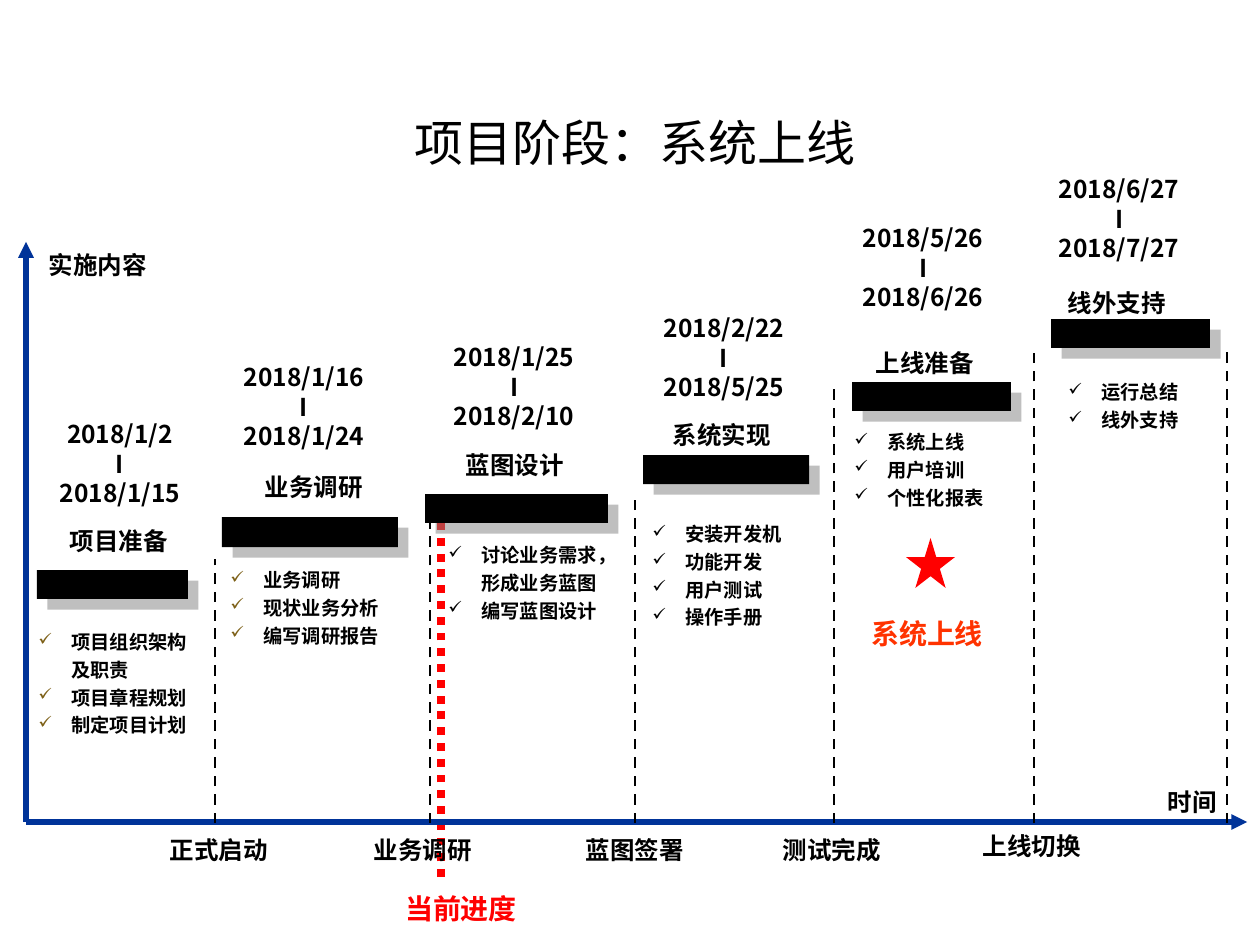
from lxml import etree
from pptx import Presentation
from pptx import util as u
from pptx.dml.color import RGBColor
from pptx.enum import dml, shapes, text
from pptx.oxml.ns import qn

PX = 7257.6  # EMU per pixel, 126 pixels to the inch
FONT = "Noto Sans CJK SC"
BLACK, RED, NAVY, GOLD = "000000", "FF0000", "003399", "7D6017"
AXIS_X, AXIS_Y = 26, 822
INDENT = 33

# name, name centre, dates, date centre, bar, bullets, bullet box (left, first line, width), bullet colour
STAGES = [
    ("项目准备", (119, 539), ("2018/1/2", "2018/1/15"), (120, 432), (37, 570, 151, 29),
     ["项目组织架构及职责", "项目章程规划", "制定项目计划"], (26, 641, 189), GOLD),
    ("业务调研", (314, 485), ("2018/1/16", "2018/1/24"), (304, 375), (222, 517, 176, 30),
     ["业务调研", "现状业务分析", "编写调研报告"], (218, 579, 181), GOLD),
    ("蓝图设计", (515, 463), ("2018/1/25", "2018/2/10"), (514, 355), (425, 494, 183, 29),
     ["讨论业务需求，形成业务蓝图", "编写蓝图设计"], (436, 554, 179), BLACK),
    ("系统实现", (722, 433), ("2018/2/22", "2018/5/25"), (724, 326), (643, 455, 166, 29),
     ["安装开发机", "功能开发", "用户测试", "操作手册"], (640, 533, 184), BLACK),
    ("上线准备", (925, 361), ("2018/5/26", "2018/6/26"), (923, 236), (852, 382, 159, 29),
     ["系统上线", "用户培训", "个性化报表"], (842, 441, 181), BLACK),
    ("线外支持", (1117, 301), ("2018/6/27", "2018/7/27"), (1119, 187), (1051, 319, 159, 29),
     ["运行总结", "线外支持"], (1056, 391, 181), BLACK),
]
DIVIDERS = [(215, 559), (430, 518), (635, 493), (834, 387), (1034, 353), (1227, 352)]
LABELS = [("正式启动", 219, 848), ("业务调研", 423, 848), ("蓝图签署", 635, 848),
          ("测试完成", 832, 848), ("上线切换", 1032, 844), ("时间", 1192, 800),
          ("实施内容", 98, 263)]


def px(value):
    return u.Emu(round(value * PX))


def color(value):
    return RGBColor.from_string(value)


def add_text(slide, lines, left, top, width, height, size=14, fill=BLACK, bold=True,
             font=FONT, align=text.PP_ALIGN.CENTER, anchor=text.MSO_ANCHOR.TOP,
             spacing=None, bullet=None):
    """Add a text box with one paragraph per line; bullet is the tick colour."""
    box = slide.shapes.add_textbox(px(left), px(top), px(width), px(height))
    frame = box.text_frame
    frame.word_wrap = True
    frame.vertical_anchor = anchor
    for index, line in enumerate(lines):
        para = frame.add_paragraph() if index else frame.paragraphs[0]
        para.alignment = align
        para.line_spacing = u.Pt(spacing or size * 1.2)
        span = para.add_run()
        span.text = line
        span.font.size = u.Pt(size)
        span.font.bold = bold
        span.font.name = font
        span.font.color.rgb = color(fill)
        east = etree.SubElement(span.font._element, qn("a:ea"))
        east.set("typeface", FONT)
        if bullet:
            add_tick(para, bullet)


def add_tick(para, fill):
    props = para._p.get_or_add_pPr()
    props.set("marL", str(px(INDENT)))
    props.set("indent", str(-px(INDENT)))
    tint = etree.SubElement(props, qn("a:buClr"))
    etree.SubElement(tint, qn("a:srgbClr")).set("val", fill)
    etree.SubElement(props, qn("a:buSzPct")).set("val", "90000")
    etree.SubElement(props, qn("a:buChar")).set("char", "✓")


def add_label(slide, line, center_x, center_y, **style):
    add_text(slide, [line], center_x - 92, center_y - 19, 184, 43, **style)


def add_line(slide, start, end, fill, width, dash=None, arrow=False):
    line = slide.shapes.add_connector(
        shapes.MSO_CONNECTOR.STRAIGHT, px(start[0]), px(start[1]), px(end[0]), px(end[1]))
    line.line.color.rgb = color(fill)
    line.line.width = u.Pt(width)
    if dash:
        line.line.dash_style = dash
    if arrow:
        etree.SubElement(line.line._get_or_add_ln(), qn("a:tailEnd")).set("type", "triangle")
    etree.SubElement(line._element.spPr, qn("a:effectLst"))


def add_block(slide, kind, left, top, width, height, fill):
    block = slide.shapes.add_shape(kind, px(left), px(top), px(width), px(height))
    block.shadow.inherit = False
    block.fill.solid()
    block.fill.fore_color.rgb = color(fill)
    block.line.fill.background()
    return block


def add_bar(slide, left, top, width, height):
    """Add a black bar with a half-transparent grey shadow to the lower right."""
    bar = add_block(slide, shapes.MSO_SHAPE.RECTANGLE, left, top, width, height, BLACK)
    effects = bar._element.spPr.find(qn("a:effectLst"))
    shadow = etree.SubElement(effects, qn("a:outerShdw"), blurRad="0", dist=str(u.Pt(8.5)),
                              dir="2700000", algn="ctr", rotWithShape="0")
    tint = etree.SubElement(shadow, qn("a:srgbClr"), val="808080")
    etree.SubElement(tint, qn("a:alpha"), val="50000")


def add_stage(slide, name, name_at, dates, dates_at, bar, bullets, bullets_at, tick):
    first, last = dates
    add_text(slide, [first, "I", last], dates_at[0] - 90, dates_at[1] - 19, 180, 102,
             spacing=16.9)
    add_label(slide, name, *name_at)
    add_bar(slide, *bar)
    left, first_line, width = bullets_at
    add_text(slide, bullets, left, first_line - 21, width, 13 + 28 * len(bullets), size=11,
             align=text.PP_ALIGN.LEFT, spacing=15.8, bullet=tick)


def main():
    deck = Presentation()
    deck.slide_width, deck.slide_height = u.Inches(10), u.Inches(7.5)
    slide = deck.slides.add_slide(deck.slide_layouts[6])

    add_text(slide, ["项目阶段：系统上线"], 68, 63, 1134, 158, size=28, bold=False,
             font="Calibri", anchor=text.MSO_ANCHOR.MIDDLE)
    add_line(slide, (441, 877), (441, 518), RED, 4.5, dml.MSO_LINE.ROUND_DOT)
    add_line(slide, (AXIS_X, AXIS_Y), (AXIS_X, 242), NAVY, 3, arrow=True)
    add_line(slide, (AXIS_X, AXIS_Y), (1247, AXIS_Y), NAVY, 3, arrow=True)
    for x, top in DIVIDERS:
        add_line(slide, (x, AXIS_Y + 1), (x, top), BLACK, 1.5, dml.MSO_LINE.DASH)
    for stage in STAGES:
        add_stage(slide, *stage)
    for label in LABELS:
        add_label(slide, *label)
    add_block(slide, shapes.MSO_SHAPE.STAR_5_POINT, 906, 538, 49, 50, RED)
    add_label(slide, "系统上线", 927, 629, size=16, fill="FF3300")
    add_label(slide, "当前进度", 461, 904, size=16, fill=RED)
    deck.save("out.pptx")


if __name__ == "__main__":
    main()
